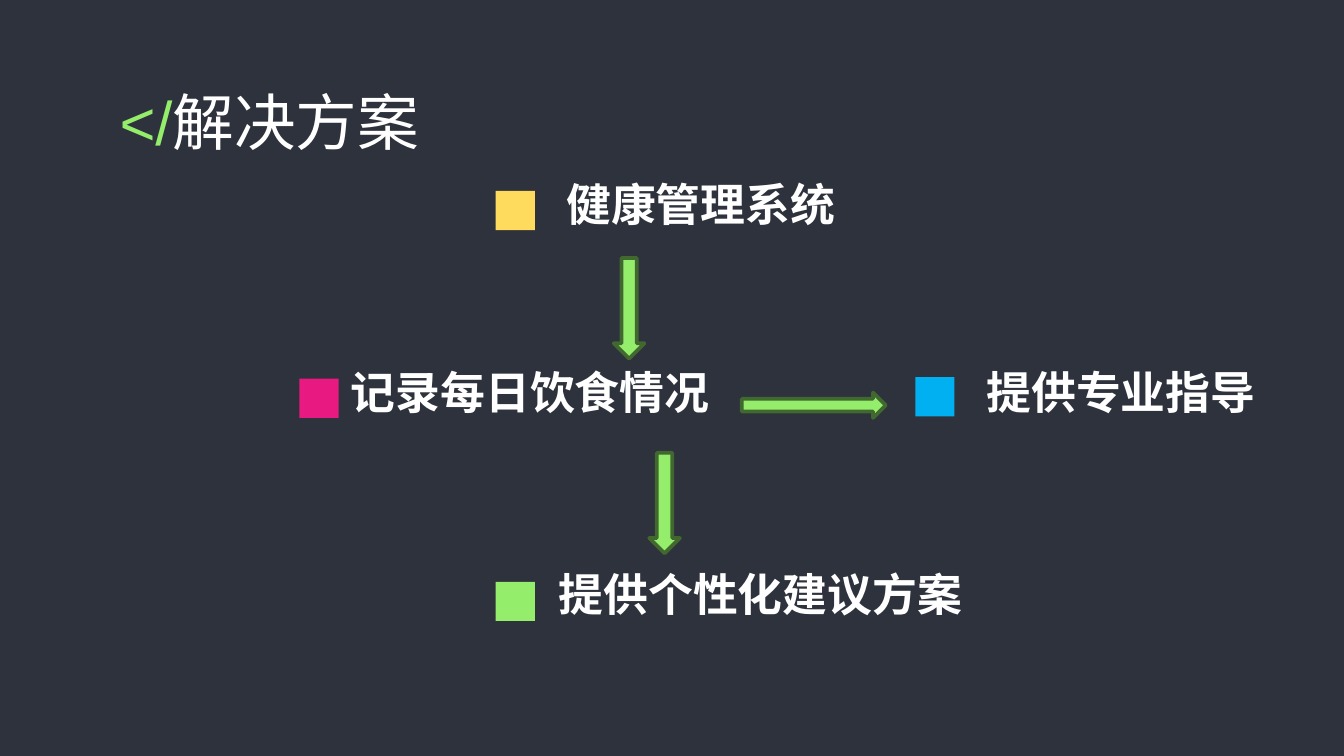
from pptx import Presentation
from pptx.util import Cm, Pt
from pptx.dml.color import RGBColor
from pptx.enum.shapes import MSO_SHAPE
from pptx.enum.text import PP_ALIGN

RECT, DOWN, RIGHT = MSO_SHAPE.RECTANGLE, MSO_SHAPE.DOWN_ARROW, MSO_SHAPE.RIGHT_ARROW
LEFT, MID = PP_ALIGN.LEFT, PP_ALIGN.CENTER

COLORS = {
    "back": "2D323C", "white": "FFFFFF", "green": "94EE6B", "edge": "41682F",
    "gold": "FFDB5D", "pink": "E81981", "blue": "00B0F0",
}

prs = Presentation()
prs.slide_width, prs.slide_height = Cm(25.4), Cm(14.29)
slide = prs.slides.add_slide(prs.slide_layouts[6])
slide.background.fill.solid()
slide.background.fill.fore_color.rgb = RGBColor.from_string(COLORS["back"])


def add_text(runs, x, y, w, h, size=24, bold=True, align=MID, pad=0.13):
    box = slide.shapes.add_textbox(Cm(x), Cm(y), Cm(w), Cm(h))
    frame = box.text_frame
    frame.word_wrap = True
    frame.margin_top = frame.margin_bottom = Cm(pad)
    para = frame.paragraphs[0]
    para.alignment = align
    para.line_spacing = 0.9
    for words, color in runs:
        run = para.add_run()
        run.text = words
        run.font.name = "Arial"
        run.font.size = Pt(size)
        run.font.bold = bold
        run.font.color.rgb = RGBColor.from_string(COLORS[color])


def add_shape(kind, x, y, w, h, fill, edge=None):
    shape = slide.shapes.add_shape(kind, Cm(x), Cm(y), Cm(w), Cm(h))
    shape.shadow.inherit = False
    shape.fill.solid()
    shape.fill.fore_color.rgb = RGBColor.from_string(COLORS[fill])
    if edge:
        shape.line.color.rgb = RGBColor.from_string(COLORS[edge])
        shape.line.width = Pt(2)
    else:
        shape.line.fill.background()


# Title
add_text([("</", "green"), ("解决方案", "white")], 2.01, 1.5, 21.41, 1.6,
         size=33, bold=False, align=LEFT, pad=0.25)

# Steps: label, its left, top and width, then the marker's left, top and colour
steps = [
    ("健康管理系统", 9.75, 3.33, 6.99, 9.37, 3.61, "gold"),
    ("记录每日饮食情况", 6.02, 6.88, 8.0, 5.66, 7.16, "pink"),
    ("提供个性化建议方案", 9.53, 10.69, 9.68, 9.37, 11.0, "green"),
    ("提供专业指导", 17.68, 6.88, 7.01, 17.3, 7.13, "blue"),
]
for label, x, y, w, left, top, color in steps:
    add_text([(label, "white")], x, y, w, 1.27)
    add_shape(RECT, left, top, 0.74, 0.74, color)

# Arrows between the steps
arrows = [
    (DOWN, 11.6, 4.88, 0.58, 1.9),
    (DOWN, 12.27, 8.56, 0.58, 1.9),
    (RIGHT, 14.02, 7.42, 2.72, 0.48),
]
for kind, x, y, w, h in arrows:
    add_shape(kind, x, y, w, h, "green", edge="edge")

prs.save("out.pptx")
